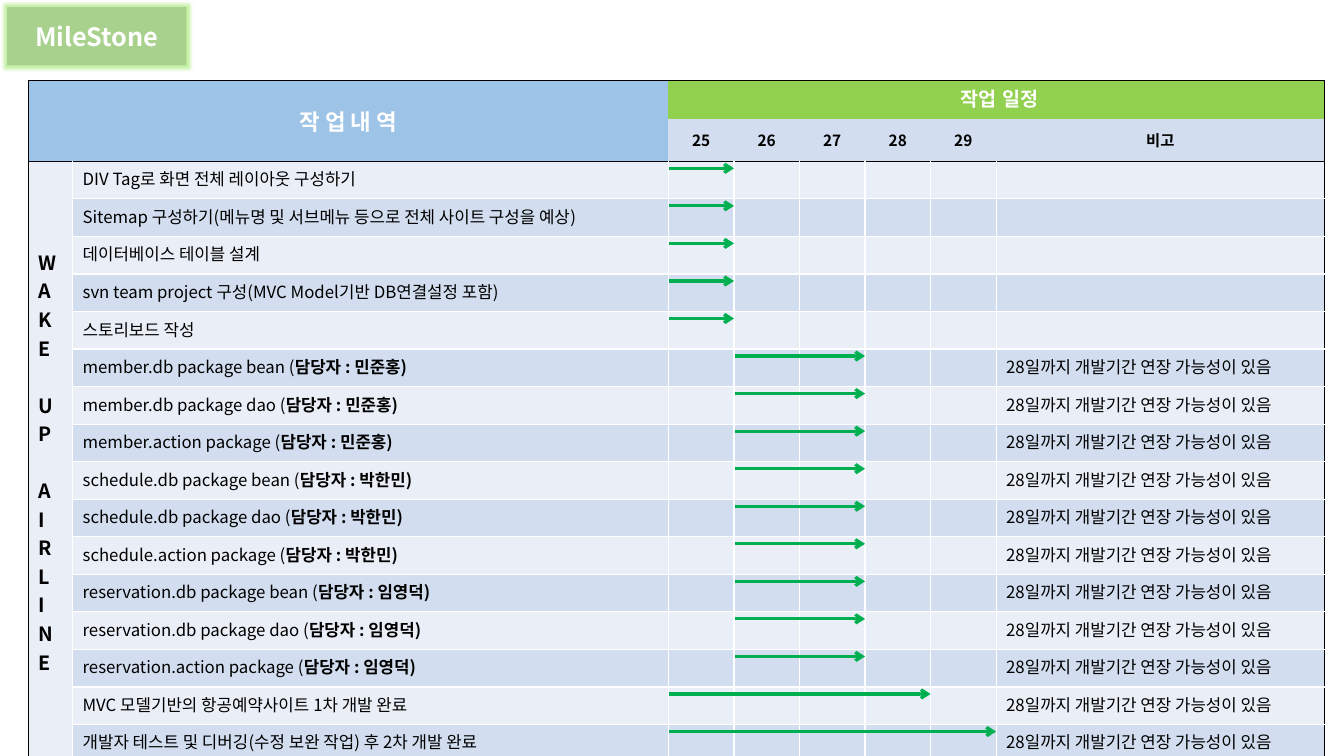
from dataclasses import dataclass

from lxml.etree import SubElement
from pptx import Presentation
from pptx.dml.color import RGBColor
from pptx.enum.shapes import MSO_CONNECTOR as CONN
from pptx.enum.text import MSO_ANCHOR as ANCHOR, PP_ALIGN as ALIGN
from pptx.oxml.ns import qn
from pptx.util import Inches, Pt

COLORS = {"title": "A9D18E", "glow": "70DC20", "blue": "9DC3E6", "green": "92D050",
          "light": "EAEFF7", "dark": "D2DEEF", "white": "FFFFFF", "black": "000000",
          "arrow": "00B050"}
FONT = "Noto Sans CJK KR"
NO_STYLE = "{2D5ABB26-0587-4C30-8999-92F81FD0307C}"

# Grid of the schedule
LEFT, TOP = 0.28, 0.8
DAYS = ["25", "26", "27", "28", "29"]
COLS = [0.44, 5.91] + [0.65] * len(DAYS) + [3.26]
HEAD, FIRST_DAY, NOTE = 2, 2, len(COLS) - 1
REMARK = "28일까지 개발기간 연장 가능성이 있음"


@dataclass
class Task:
    text: str
    owner: str = ""
    start: int = 0          # first day column covered
    days: int = 1
    remark: str = REMARK


@dataclass
class Style:
    size: float = 12
    bold: bool = False
    color: str = "black"
    align: ALIGN = ALIGN.LEFT
    font: str = FONT


HEADING = Style(16, True, "white", ALIGN.CENTER)
PLAN = Style(14, True, "white", ALIGN.CENTER, "Arial")
DAY = Style(11, True, align=ALIGN.CENTER)
BODY, OWNER, TEAM = Style(), Style(bold=True), Style(14, True)

SETUP = ["DIV Tag로 화면 전체 레이아웃 구성하기",
         "Sitemap 구성하기(메뉴명 및 서브메뉴 등으로 전체 사이트 구성을 예상)",
         "데이터베이스 테이블 설계",
         "svn team project 구성(MVC Model기반 DB연결설정 포함)",
         "스토리보드 작성"]
OWNERS = {"member": "민준홍", "schedule": "박한민", "reservation": "임영덕"}
PARTS = ["db package bean", "db package dao", "action package"]
TASKS = [Task(text, remark="") for text in SETUP]
TASKS += [Task(f"{module}.{part} (", f"담당자 : {name})", 1, 2)
          for module, name in OWNERS.items() for part in PARTS]
TASKS += [Task("MVC 모델기반의 항공예약사이트 1차 개발 완료", days=4),
          Task("개발자 테스트 및 디버깅(수정 보완 작업) 후 2차 개발 완료", days=5)]
ROWS = [0.38, 0.42] + [5.96 / len(TASKS)] * len(TASKS)


def rgb(name: str) -> RGBColor:
    return RGBColor.from_string(COLORS[name])


def add_run(p, text: str, style: Style) -> None:
    r = p.add_run()
    r.text = text
    for key, value in {"size": Pt(style.size), "bold": style.bold, "name": style.font}.items():
        setattr(r.font, key, value)
    r.font.color.rgb = rgb(style.color)
    SubElement(r.font._element, qn("a:ea"), typeface=style.font)
    p.alignment = style.align


def set_borders(cell, sides: dict[str, str]) -> None:
    tc_pr = cell._tc.get_or_add_tcPr()
    for i, (side, color) in enumerate(sides.items()):
        ln = SubElement(tc_pr, qn(f"a:ln{side}"), w=str(Pt(1)))
        fill = SubElement(ln, qn("a:solidFill"))
        SubElement(fill, qn("a:srgbClr"), val=COLORS[color])
        tc_pr.insert(i, ln)


def cell_sides(cell, row: int, col: int) -> dict[str, str]:
    """Black around the table and under the header, white inside the body."""
    last_row = row + (cell.span_height if cell.is_merge_origin else 1)
    last_col = col + (cell.span_width if cell.is_merge_origin else 1)
    black = {"L": col == 0, "R": last_col == len(COLS),
             "T": row in (0, HEAD), "B": last_row in (HEAD, len(ROWS))}
    return {side: "black" if on else "white" for side, on in black.items()
            if on or row >= HEAD}


def add_title(slide) -> None:
    sp = slide.shapes.title
    box = {"left": 0.07, "top": 0.07, "width": 1.78, "height": 0.58}
    for key, value in box.items():
        setattr(sp, key, Inches(value))
    geom = SubElement(sp._element.spPr, qn("a:prstGeom"), prst="roundRect")
    SubElement(geom, qn("a:avLst"))
    sp.fill.solid()
    sp.fill.fore_color.rgb = rgb("title")
    effects = SubElement(sp._element.spPr, qn("a:effectLst"))
    glow = SubElement(effects, qn("a:glow"), rad=str(Pt(5)))
    color = SubElement(glow, qn("a:srgbClr"), val=COLORS["glow"])
    SubElement(color, qn("a:alpha"), val="40000")
    tf = sp.text_frame
    tf.vertical_anchor = ANCHOR.MIDDLE
    add_run(tf.paragraphs[0], "MileStone", Style(18, True, "white", ALIGN.CENTER))


def fill_header(table) -> None:
    table.cell(0, 0).merge(table.cell(1, 1))
    table.cell(0, FIRST_DAY).merge(table.cell(0, NOTE))
    labels = [(0, 0, "작 업 내 역", HEADING), (0, FIRST_DAY, " 작업 일정", PLAN)]
    labels += [(1, col, text, DAY) for col, text in enumerate(DAYS + ["비고"], FIRST_DAY)]
    for row, col, text, style in labels:
        cell = table.cell(row, col)
        cell.vertical_anchor = ANCHOR.MIDDLE
        add_run(cell.text_frame.paragraphs[0], text, style)


def fill_team(table) -> None:
    cell = table.cell(HEAD, 0)
    cell.merge(table.cell(len(ROWS) - 1, 0))
    cell.vertical_anchor = ANCHOR.MIDDLE
    tf = cell.text_frame
    for word in ("WAKE", "UP", "AIRLINE"):
        for i, letter in enumerate(word):
            first = word == "WAKE" and i == 0
            p = tf.paragraphs[0] if first else tf.add_paragraph()
            add_run(p, letter, TEAM)
            if i == 0 and not first:
                p.space_before = Pt(20.3)


def cell_color(row: int, col: int) -> str:
    if row < HEAD:
        return "blue" if col < FIRST_DAY else ("green", "dark")[row]
    return "light" if col == 0 or row % 2 == 0 else "dark"


def add_schedule(slide) -> None:
    table = slide.shapes.add_table(len(ROWS), len(COLS), Inches(LEFT), Inches(TOP),
                                   Inches(sum(COLS)), Inches(sum(ROWS))).table
    table._tbl.tblPr.find(qn("a:tableStyleId")).text = NO_STYLE
    for column, width in zip(table.columns, COLS):
        column.width = Inches(width)
    for row, height in zip(table.rows, ROWS):
        row.height = Inches(height)
    fill_header(table)
    fill_team(table)
    for row, task in enumerate(TASKS, HEAD):
        p = table.cell(row, 1).text_frame.paragraphs[0]
        add_run(p, task.text, BODY)
        if task.owner:
            add_run(p, task.owner, OWNER)
        if task.remark:
            add_run(table.cell(row, NOTE).text_frame.paragraphs[0], task.remark, BODY)
    # Fills, borders and the size of empty cells
    for row in range(len(ROWS)):
        for col in range(len(COLS)):
            cell = table.cell(row, col)
            cell.fill.solid()
            cell.fill.fore_color.rgb = rgb(cell_color(row, col))
            set_borders(cell, cell_sides(cell, row, col))
            if not cell.text_frame.text:
                end = cell.text_frame.paragraphs[0]._p.get_or_add_endParaRPr()
                end.set("sz", "1200")


def add_arrow(slide, row: int, task: Task) -> None:
    first = FIRST_DAY + task.start
    x1 = LEFT + sum(COLS[:first]) + 0.01
    x2 = LEFT + sum(COLS[:first + task.days])
    y = TOP + sum(ROWS[:row]) + 0.07
    line = slide.shapes.add_connector(CONN.STRAIGHT, *map(Inches, (x1, y, x2, y)))
    line.line.color.rgb = rgb("arrow")
    line.line.width = Pt(2.25)
    SubElement(line.line._get_or_add_ln(), qn("a:tailEnd"), type="arrow")
    SubElement(line._element.spPr, qn("a:effectLst"))


def main() -> None:
    prs = Presentation()
    prs.slide_width, prs.slide_height = Inches(13.33), Inches(7.5)
    slide = prs.slides.add_slide(prs.slide_layouts[5])
    add_title(slide)
    add_schedule(slide)
    for row, task in enumerate(TASKS, HEAD):
        add_arrow(slide, row, task)
    prs.save("out.pptx")


if __name__ == "__main__":
    main()
